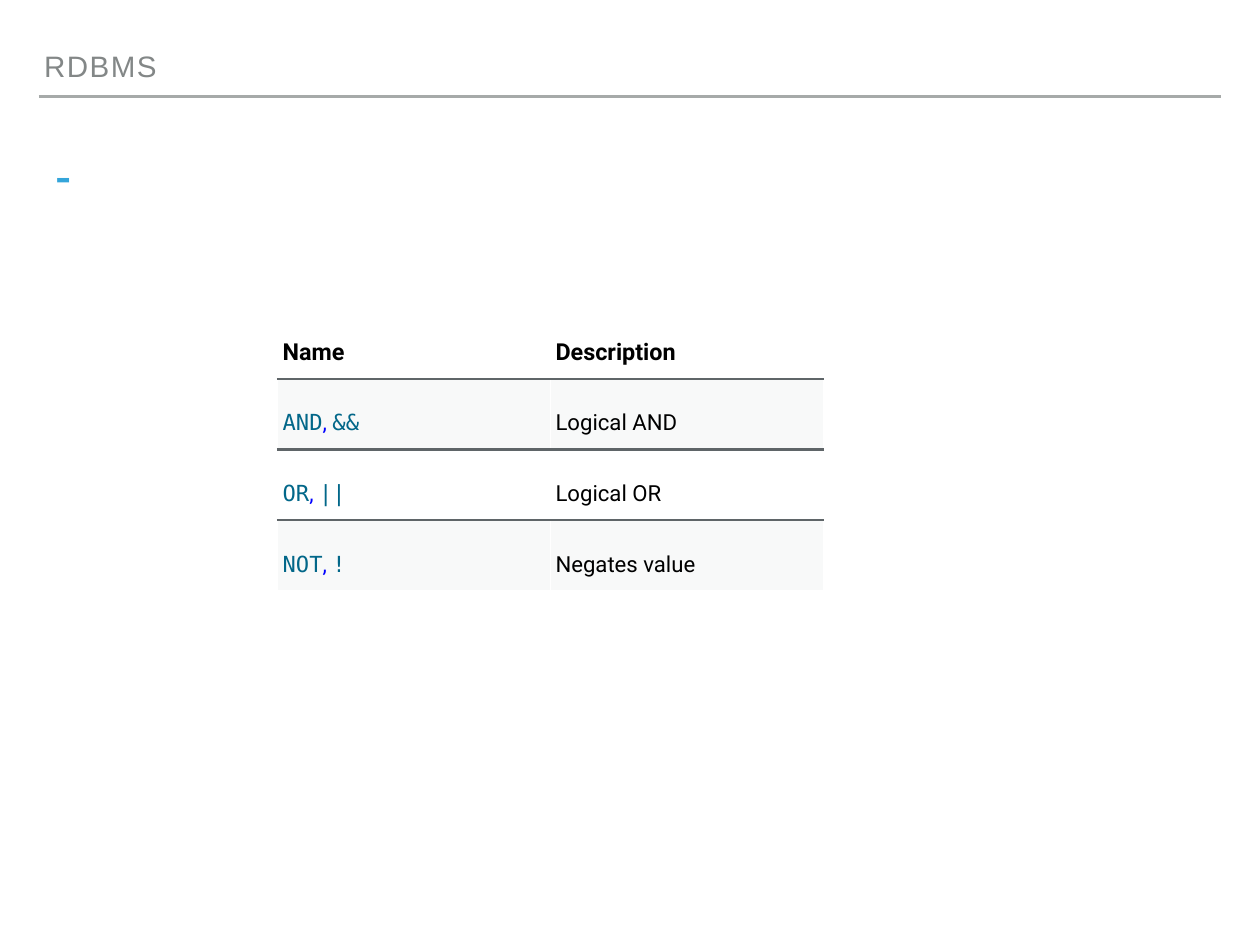
from dataclasses import dataclass

from lxml import etree
from pptx import Presentation
from pptx.dml.color import RGBColor
from pptx.enum.shapes import MSO_CONNECTOR
from pptx.enum.text import MSO_ANCHOR
from pptx.oxml.ns import qn
from pptx.util import Inches, Pt

STRAIGHT = MSO_CONNECTOR.STRAIGHT
TOP, MIDDLE, BOTTOM = MSO_ANCHOR.TOP, MSO_ANCHOR.MIDDLE, MSO_ANCHOR.BOTTOM
SLIDE_WIDTH, SLIDE_HEIGHT = Inches(14.22), Inches(10.67)
INSET = Inches(0.06)


@dataclass(frozen=True)
class Style:
    font: str
    size: float
    color: str
    bold: bool = False
    tracking: int = 0  # hundredths of a point


class Theme:
    rule = "A6AAA9"
    border = "5F6568"
    band = "DCDEE0"
    band_alpha = 18
    line_width = Pt(2)
    topic = Style("Arial", 24, "838787", tracking=120)
    title = Style("Roboto Condensed", 48, "34A5DA")
    heading = Style("Roboto", 19, "000000", bold=True)
    body = Style("Roboto", 18, "000000")
    operator = Style("DejaVu Sans Mono", 18, "026789")
    comma = Style("Roboto", 18, "0000FF")


OPERATORS = [
    ("AND", "&&", "Logical AND"),
    ("OR", "||", "Logical OR"),
    ("NOT", "!", "Negates value"),
]


def across(percent):
    return round(SLIDE_WIDTH * percent / 100)


def down(percent):
    return round(SLIDE_HEIGHT * percent / 100)


def add_runs(paragraph, pieces):
    for text, style in pieces:
        run = paragraph.add_run()
        run.text = text
        run.font.name = style.font
        run.font.size = Pt(style.size)
        run.font.bold = style.bold
        run.font.color.rgb = RGBColor.from_string(style.color)
        if style.tracking:
            run.font._element.set("spc", str(style.tracking))


def add_label(slide, left, top, width, height, text, style, anchor, before=0):
    box = slide.shapes.add_textbox(across(left), down(top), across(width), down(height))
    frame = box.text_frame
    frame.word_wrap = True
    frame.vertical_anchor = anchor
    frame.margin_left = frame.margin_right = INSET
    frame.margin_top = frame.margin_bottom = INSET
    paragraph = frame.paragraphs[0]
    paragraph.line_spacing = 0.8
    paragraph.space_before = Pt(before)
    add_runs(paragraph, [(text, style)])


def add_rule(slide, left, right, height):
    rule = slide.shapes.add_connector(
        STRAIGHT, across(left), down(height), across(right), down(height))
    rule.line.color.rgb = RGBColor.from_string(Theme.rule)
    rule.line.width = Theme.line_width
    etree.SubElement(rule._element.spPr, qn("a:effectLst"))


def add_border(cell, side):
    edge = etree.SubElement(cell._tc.get_or_add_tcPr(), qn(f"a:{side}"),
                            w=str(Theme.line_width))
    fill = etree.SubElement(edge, qn("a:solidFill"))
    etree.SubElement(fill, qn("a:srgbClr"), val=Theme.border)


def fill_band(cell):
    cell.fill.solid()
    cell.fill.fore_color.rgb = RGBColor.from_string(Theme.band)
    color = cell._tc.tcPr.find(f".//{qn('a:solidFill')}[last()]")
    color = cell._tc.tcPr.find(f"{qn('a:solidFill')}/{qn('a:srgbClr')}")
    etree.SubElement(color, qn("a:alpha"), val=str(Theme.band_alpha * 1000))


def fill_cell(cell, pieces, line_spacing):
    cell.vertical_anchor = MIDDLE
    cell.margin_left = cell.margin_right = INSET
    cell.margin_top = cell.margin_bottom = INSET
    paragraph = cell.text_frame.paragraphs[0]
    paragraph.line_spacing = Pt(line_spacing)
    paragraph.space_before = Pt(12)
    add_runs(paragraph, pieces)


def add_operator_table(slide, left, top, width, row_height):
    rows = [([("Name", Theme.heading)], [("Description", Theme.heading)])]
    for word, symbol, meaning in OPERATORS:
        names = [(word, Theme.operator), (", ", Theme.comma), (symbol, Theme.operator)]
        rows.append((names, [(meaning, Theme.body)]))

    table = slide.shapes.add_table(
        len(rows), 2, across(left), down(top),
        across(width), down(row_height * len(rows))).table
    table.first_row = table.horz_banding = False

    for r, row in enumerate(rows):
        for c, pieces in enumerate(row):
            cell = table.cell(r, c)
            fill_cell(cell, pieces, 36 if r else 37)
            # Lines run between rows only
            if r > 0:
                add_border(cell, "lnT")
            if r < len(rows) - 1:
                add_border(cell, "lnB")
            # Every other row is tinted
            if r % 2:
                fill_band(cell)
            else:
                cell.fill.background()


def main():
    deck = Presentation()
    deck.slide_width, deck.slide_height = SLIDE_WIDTH, SLIDE_HEIGHT
    slide = deck.slides.add_slide(deck.slide_layouts[6])

    # Header
    add_rule(slide, 3.09, 96.91, 10.22)
    add_label(slide, 3.09, 4.69, 85.94, 4.69, "RDBMS", Theme.topic, BOTTOM)

    # Title
    add_label(slide, 4.01, 15.65, 93.74, 7.4, "-", Theme.title, TOP, before=22)

    # Logical operators
    add_operator_table(slide, 22.01, 32.61, 43.32, 7.48)

    deck.save("out.pptx")


if __name__ == "__main__":
    main()
